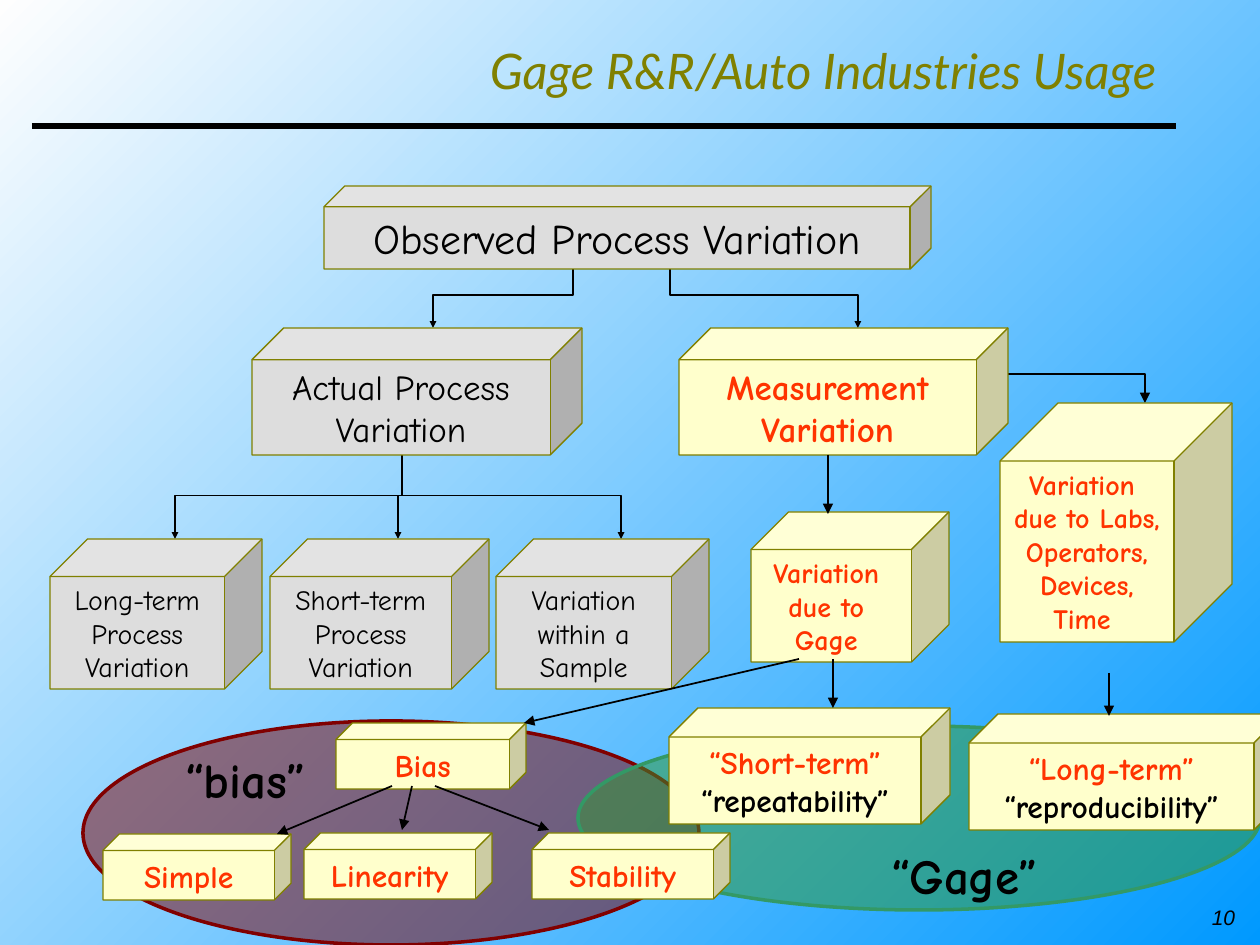
from lxml import etree
from pptx import Presentation, util as u
from pptx.dml.color import RGBColor
from pptx.enum import shapes, text
from pptx.oxml.ns import qn

PX = 914400 / 126
COLORS = {
    "sky": "0099FF", "white": "FEFEFE", "black": "000000", "olive": "808000",
    "gray": "DDDDDD", "cream": "FFFFCC", "orange": "FF3300",
    "maroon": "800000", "green": "339933", "teal": "339966",
}
DIAGRAM_FONT = "Comic Neue"

# (left, top, width, height), fill, line
ELLIPSES = [
    ((83, 721, 616, 224), "maroon", "maroon"),
    ((578, 726, 682, 184), "green", "teal"),
]
# (left, top, width, height), size, paragraphs
PROCESS_CUBES = [
    ((252, 328, 330, 127), 20, ["Actual Process Variation"]),
    ((324, 186, 607, 83), 24, ["Observed Process Variation"]),
    ((50, 539, 212, 150), 16, ["Long-term Process Variation"]),
    ((270, 539, 219, 150), 16, ["Short-term Process Variation"]),
    ((496, 539, 213, 150), 16, ["Variation within a Sample"]),
]
MEASUREMENT_CUBES = [
    ((679, 328, 329, 127), 20, ["Measurement Variation"]),
    ((1000, 403, 232, 239), 16,
     ["Variation ", "due to Labs, Operators, Devices,", "Time "]),
    ((751, 512, 198, 150), 16, ["Variation ", "due to ", "Gage "]),
    ((336, 723, 190, 66), 18, ["Bias"]),
    ((304, 833, 188, 66), 18, ["Linearity"]),
    ((669, 708, 281, 116), 18, ["“Short-term”", "“repeatability”"]),
    ((532, 833, 198, 66), 18, ["Stability"]),
    ((969, 714, 314, 116), 18, ["“Long-term”", "“reproducibility”"]),
    ((103, 834, 188, 66), 18, ["Simple"]),
]
BLACK_TEXTS = {"“repeatability”", "“reproducibility”"}

# (x1, y1, x2, y2)
ELBOWS = [
    (573, 262, 433, 328), (670, 262, 858, 328),
    (402, 452, 175, 539), (402, 452, 398, 539), (402, 452, 621, 539),
]
CORNER = (1007, 374, 1145, 403)
# (x1, y1, x2, y2), width
ARROWS = [
    ((828, 455, 828, 514), 0.75),
    ((1109, 673, 1109, 716), 1),
    ((799, 659, 524, 723), 1),
    ((392, 786, 277, 834), 1),
    ((412, 786, 402, 830), 1),
    ((435, 786, 549, 830), 1),
    ((833, 659, 833, 708), 1),
]
# text, (left, top, width, height), size, font, color, bold, italic, align, wrap
LABELS = [
    ("Gage R&R/Auto Industries Usage \v", (246, 72, 934, 55), 28, "Lato",
     "olive", False, True, "RIGHT", True),
    ("“Gage”", (879, 839, 171, 72), 28, DIAGRAM_FONT,
     "black", True, False, "CENTER", False),
    ("“bias”", (173, 743, 145, 72), 28, DIAGRAM_FONT,
     "black", True, False, "CENTER", False),
    ("10", (1187, 898, 73, 38), 12, "Arial",
     "black", False, True, "CENTER", True),
]


def emu(*lengths):
    return [round(length * PX) for length in lengths]


def rgb(name):
    return RGBColor.from_string(COLORS[name])


def add_solid(slide, kind, box, fill, line, line_width):
    shape = slide.shapes.add_shape(kind, *emu(*box))
    shape.shadow.inherit = False
    shape.fill.solid()
    shape.fill.fore_color.rgb = rgb(fill)
    shape.line.color.rgb = rgb(line)
    shape.line.width = u.Pt(line_width)
    return shape


def add_background(slide):
    shape = slide.shapes.add_shape(
        shapes.MSO_SHAPE.RECTANGLE, *emu(0, 0, 1260, 945))
    shape.shadow.inherit = False
    shape.line.fill.background()
    shape.fill.gradient()
    shape.fill.gradient_angle = 135
    for stop, color in zip(shape.fill.gradient_stops, ("sky", "white")):
        stop.color.rgb = rgb(color)


def add_ellipse(slide, box, fill, line):
    """Add a half-transparent ellipse."""
    shape = add_solid(slide, shapes.MSO_SHAPE.OVAL, box, fill, line, 2)
    color = shape._element.spPr.find(qn("a:solidFill"))[0]
    etree.SubElement(color, qn("a:alpha")).set("val", "50000")


def add_cube(slide, box, size, paragraphs, fill, color, bold):
    shape = add_solid(slide, shapes.MSO_SHAPE.CUBE, box, fill, "olive", 0.75)
    frame = shape.text_frame
    frame.word_wrap = True
    frame.vertical_anchor = text.MSO_ANCHOR.TOP
    frame.margin_left = frame.margin_right = u.Inches(0.09)
    frame.text = "\n".join(paragraphs)
    for paragraph in frame.paragraphs:
        ink = "black" if paragraph.text in BLACK_TEXTS else color
        style(paragraph, size, DIAGRAM_FONT, ink, bold, False, "CENTER")


def style(paragraph, size, font_name, color, bold, italic, align):
    paragraph.alignment = text.PP_ALIGN[align]
    font = paragraph.font
    font.size, font.name = u.Pt(size), font_name
    font.bold, font.italic = bold, italic
    font.color.rgb = rgb(color)


def add_line(slide, ends, width, head="med", kind="STRAIGHT"):
    line = slide.shapes.add_connector(shapes.MSO_CONNECTOR[kind], *emu(*ends))
    line.line.color.rgb = rgb("black")
    line.line.width = u.Pt(width)
    properties = line._element.spPr
    if head:
        outline = properties.find(qn("a:ln"))
        etree.SubElement(outline, qn("a:tailEnd"),
                         type="triangle", w=head, len=head)
    etree.SubElement(properties, qn("a:effectLst"))
    return properties


def add_elbow(slide, x1, y1, x2, y2):
    """Add an arrow that goes down, across and down, as a turned elbow."""
    middle_x, middle_y = (x1 + x2) / 2, (y1 + y2) / 2
    half_width, half_height = (y2 - y1) / 2, abs(x2 - x1) / 2
    ends = (middle_x - half_width, middle_y - half_height,
            middle_x + half_width, middle_y + half_height)
    properties = add_line(slide, ends, 1, head="sm", kind="ELBOW")
    transform = properties.find(qn("a:xfrm"))
    rightward = x2 > x1
    transform.set("rot", str((270 if rightward else 90) * 60000))
    if rightward:
        transform.set("flipH", "1")


def add_label(slide, wording, box, size, font_name, color, bold, italic,
              align, wrap):
    frame = slide.shapes.add_textbox(*emu(*box)).text_frame
    frame.word_wrap = wrap
    if not wrap:
        frame.auto_size = text.MSO_AUTO_SIZE.SHAPE_TO_FIT_TEXT
        frame.margin_left = frame.margin_right = 0
    if "\v" in wording:
        frame.vertical_anchor = text.MSO_ANCHOR.MIDDLE
    frame.text = wording
    style(frame.paragraphs[0], size, font_name, color, bold, italic, align)


def main():
    presentation = Presentation()
    presentation.slide_width, presentation.slide_height = emu(1260, 945)
    slide = presentation.slides.add_slide(presentation.slide_layouts[6])

    add_background(slide)
    add_line(slide, (32, 126, 1176, 126), 3, head=None)
    for ellipse in ELLIPSES:
        add_ellipse(slide, *ellipse)
    for elbow in ELBOWS:
        add_elbow(slide, *elbow)
    corner = add_line(slide, CORNER, 0.75, kind="ELBOW")
    corner.find(qn("a:prstGeom")).set("prst", "bentConnector2")
    for cube in PROCESS_CUBES:
        add_cube(slide, *cube, "gray", "black", False)
    for cube in MEASUREMENT_CUBES:
        add_cube(slide, *cube, "cream", "orange", True)
    for ends, width in ARROWS:
        add_line(slide, ends, width)
    for label in LABELS:
        add_label(slide, *label)

    presentation.save("out.pptx")


if __name__ == "__main__":
    main()
